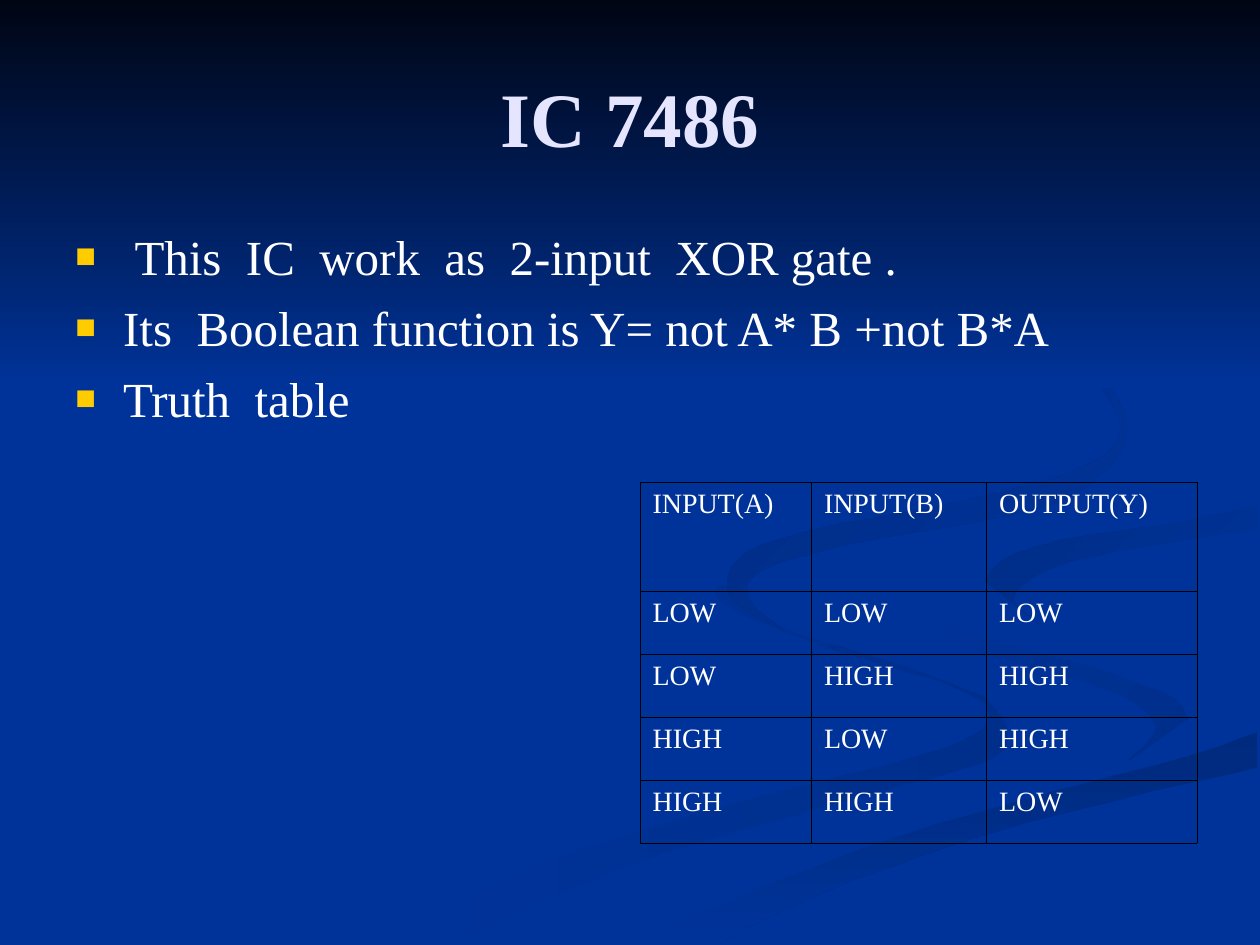
from lxml.etree import SubElement
from pptx import Presentation
from pptx.dml.color import RGBColor
from pptx.enum.shapes import MSO_SHAPE
from pptx.enum.text import MSO_ANCHOR, PP_ALIGN
from pptx.oxml.ns import qn
from pptx.util import Pt

px = 9144
steps = 6
blue, white, black, gold, pale = "003399", "FFFFFF", "000000", "FFCC00", "E5E5FF"


def hue(code):
    return RGBColor.from_string(code)


def curve(knots):
    ends = [knots[0], *knots, knots[-1]]
    dots = [knots[0]]
    for a, b, c, d in zip(ends, ends[1:], ends[2:], ends[3:]):
        for step in range(1, steps + 1):
            t = step / steps
            dots.append(tuple(
                round(q + t / 2 * (r - p + t * (2*p - 5*q + 4*r - s + t * (3*q - p - 3*r + s))))
                for p, q, r, s in zip(a, b, c, d)))
    return dots


deck = Presentation()
deck.slide_width, deck.slide_height = 1000 * px, 750 * px
slide = deck.slides.add_slide(deck.slide_layouts[6])
slide.background.fill.solid()
slide.background.fill.fore_color.rgb = hue(blue)
shapes = slide.shapes

edges = {
    "bend": [(725, 464), (734, 483), (792, 509), (870, 530), (930, 553), (943, 570)],
    "tail": [(943, 570), (926, 593), (869, 611), (743, 643), (573, 703), (477, 749)],
    "sweep": [(503, 749), (569, 719), (696, 669), (832, 629), (936, 602), (998, 581)],
    "hook": [(998, 538), (904, 519), (832, 498), (786, 473), (781, 461)],
    "roof": [(781, 461), (800, 442), (850, 427), (933, 415), (998, 402)],
    "crest": [(998, 387), (920, 401), (808, 417), (742, 439), (725, 464)],
    "curl": [(894, 605), (917, 580), (900, 557), (854, 539), (781, 518), (739, 494), (725, 464)],
    "floor": [(998, 609), (821, 651), (695, 692), (614, 726), (571, 749)],
    "lip": [(998, 420), (936, 429), (843, 448), (805, 474), (826, 496)],
    "left": [(781, 553), (715, 528), (614, 496), (575, 464), (576, 480), (654, 513),
             (752, 543), (785, 566), (749, 594), (579, 639), (417, 690), (300, 749)],
    "right": [(361, 749), (499, 687), (676, 634), (780, 605), (800, 581), (781, 553)],
    "outer": [(762, 233), (864, 291), (894, 344), (855, 391), (786, 412), (683, 430),
              (606, 452), (594, 475), (622, 500)],
    "inner": [(622, 500), (580, 474), (589, 441), (649, 420), (763, 398), (861, 370),
              (889, 335), (846, 279), (762, 233)],
}
waves = [
    ("left right", blue, "002E8B", 0),
    ("bend curl", blue, "002E8B", 45),
    ("sweep floor", "002A7D", blue, 90),
    ("bend tail sweep hook roof crest", blue, blue, 0),
    ("roof lip", "002D86", blue, 45),
    ("outer inner", "002B82", blue, 45),
]
fills = []
for names, start, end, turn in waves:
    dots = [dot for name in names.split() for dot in curve(edges[name])]
    pen = shapes.build_freeform(*dots[0], scale=px)
    pen.add_line_segments(dots[1:], close=True)
    fills.append((pen.convert_to_shape(), start, end, turn))
band = shapes.add_shape(MSO_SHAPE.RECTANGLE, 0, 0, 1000 * px, 308 * px)
fills.append((band, "000514", blue, 90))

for shape, start, end, turn in fills:
    shape.shadow.inherit = False
    shape.line.fill.background()
    shape.fill.gradient()
    shape.fill.gradient_angle = -turn % 360
    for stop, code in zip(shape.fill.gradient_stops, (start, end)):
        stop.color.rgb = hue(code)

heads = {"size": Pt(44), "bold": True}
lines = {"size": Pt(28)}
cells = {"size": Pt(16)}
texts = []

title = shapes.add_textbox(50 * px, 30 * px, 900 * px, 125 * px).text_frame
body = shapes.add_textbox(50 * px, 175 * px, 900 * px, 495 * px).text_frame
title.word_wrap = body.word_wrap = True
title.vertical_anchor = MSO_ANCHOR.MIDDLE
title.paragraphs[0].alignment = PP_ALIGN.CENTER
texts.append((title.paragraphs[0], "IC 7486", pale, heads))

points = [
    " This  IC  work  as  2-input  XOR gate .",
    "Its  Boolean function is Y= not A* B +not B*A",
    "Truth  table",
]
for row, text in enumerate(points):
    par = body.add_paragraph() if row else body.paragraphs[0]
    par.space_before = Pt(7 if row else 0)
    texts.append((par, text, white, lines))
    props = par._p.get_or_add_pPr()
    props.set("marL", str(38 * px))
    props.set("indent", str(-38 * px))
    SubElement(SubElement(props, qn("a:buClr")), qn("a:srgbClr"), val=gold)
    SubElement(props, qn("a:buSzPct"), val="70000")
    SubElement(props, qn("a:buFont"), typeface="Times New Roman")
    SubElement(props, qn("a:buChar"), char="■")

levels = ("LOW", "HIGH")
truth = [("INPUT(A)", "INPUT(B)", "OUTPUT(Y)")]
for a in (0, 1):
    for b in (0, 1):
        truth.append([levels[bit] for bit in (a, b, a ^ b)])

table = shapes.add_table(5, 3, 508 * px, 383 * px, 442 * px, 286 * px).table
for key, val in {"first_row": False, "horz_banding": False}.items():
    setattr(table, key, val)
for col, wide in zip(table.columns, (136, 139, 167)):
    col.width = wide * px
for row, (line, words) in enumerate(zip(table.rows, truth)):
    line.height = (50 if row else 86) * px
    for cell, word in zip(line.cells, words):
        texts.append((cell.text_frame.paragraphs[0], word, white, cells))
        props = cell._tc.get_or_add_tcPr()
        for side in "LRTB":
            edge = SubElement(props, qn(f"a:ln{side}"), w=str(Pt(0.45)))
            SubElement(SubElement(edge, qn("a:solidFill")), qn("a:srgbClr"), val=black)
        cell.fill.background()

for par, text, code, style in texts:
    run = par.add_run()
    run.text = text
    run.font.color.rgb = hue(code)
    for key, val in {"name": "Times New Roman", **style}.items():
        setattr(run.font, key, val)

deck.save("out.pptx")
